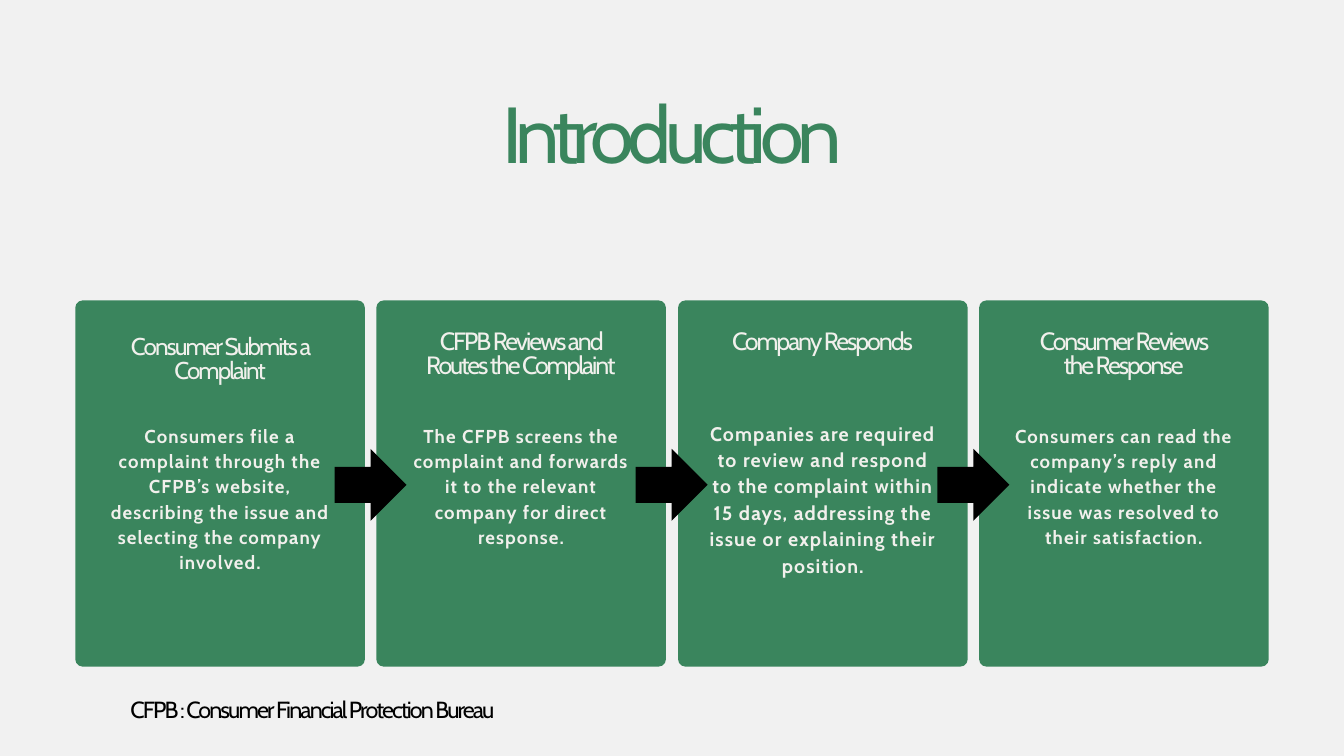
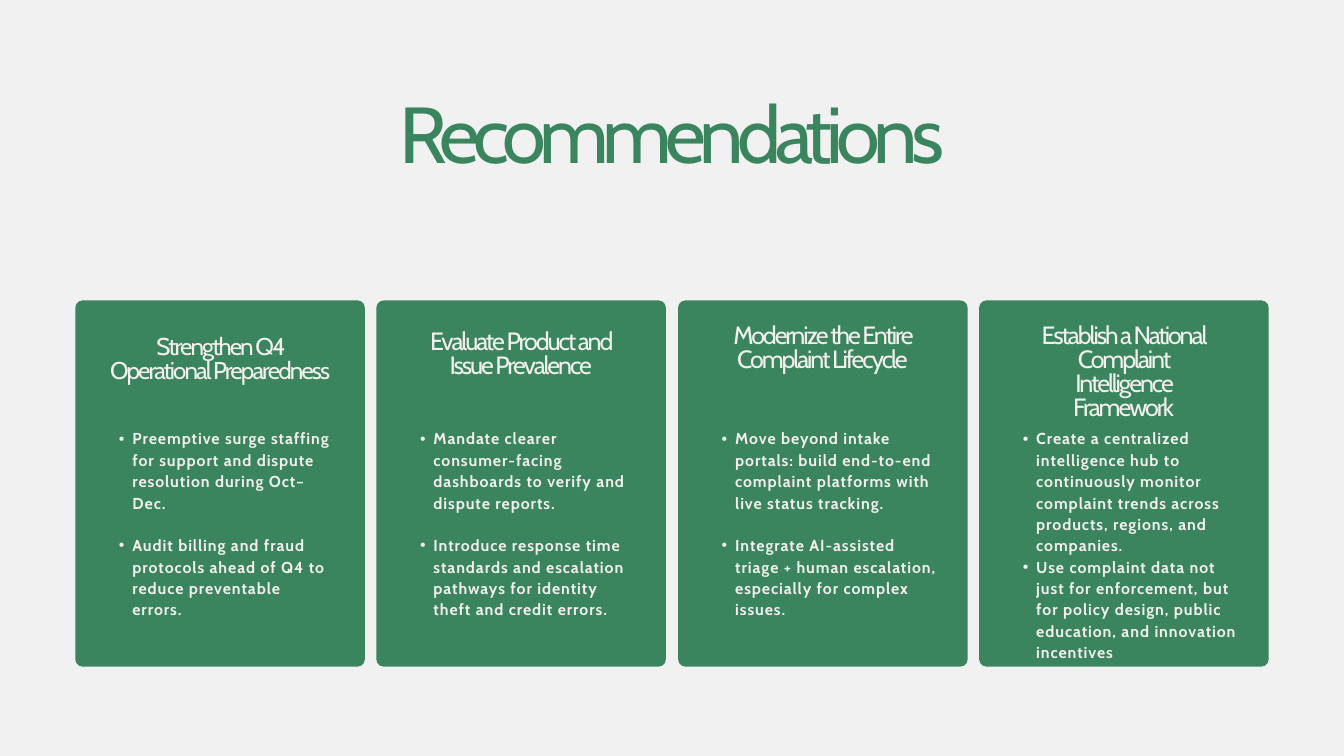
from dataclasses import dataclass
from typing import Any, NamedTuple

from lxml.etree import SubElement
from pptx import Presentation
from pptx.dml.color import RGBColor
from pptx.enum.shapes import MSO_SHAPE
from pptx.enum.text import MSO_ANCHOR, MSO_AUTO_SIZE, PP_ALIGN
from pptx.oxml.ns import qn
from pptx.util import Emu, Pt

EMU_PER_PX = 9144


class TextStyle(NamedTuple):
    size: float
    line: float
    tracking: int
    colour: RGBColor
    bold: bool = False
    bulleted: bool = False


class Box(NamedTuple):
    left: int
    top: int
    width: int
    height: int


@dataclass(frozen=True)
class Theme:
    font: str = "Cabin"
    background: RGBColor = RGBColor.from_string("F1F1F1")
    green: RGBColor = RGBColor.from_string("3A855D")
    cream: RGBColor = RGBColor.from_string("F1F0EC")
    black: RGBColor = RGBColor.from_string("000000")

    @property
    def title(self) -> TextStyle:
        return TextStyle(85, 81.6, -700, self.green)

    @property
    def first_heading(self) -> TextStyle:
        return TextStyle(26, 25, -210, self.cream)

    @property
    def heading(self) -> TextStyle:
        return TextStyle(26.8, 25.7, -220, self.cream)

    @property
    def body(self) -> TextStyle:
        return TextStyle(20, 27, 120, self.cream, bold=True)

    @property
    def large_body(self) -> TextStyle:
        return TextStyle(21, 28.3, 120, self.cream, bold=True)

    @property
    def bullets(self) -> TextStyle:
        return TextStyle(17, 22.9, 100, self.cream, bold=True, bulleted=True)

    @property
    def footnote(self) -> TextStyle:
        return TextStyle(25, 35, -200, self.black)


THEME = Theme()
SLIDE_WIDTH, SLIDE_HEIGHT = 2000, 1125
TITLE_BOX = Box(512, 153, 976, 120)
FOOTNOTE_BOX = Box(90, 1028, 750, 48)
CARD_TOP, CARD_WIDTH, CARD_HEIGHT, CARD_RADIUS = 447, 431, 545, 11
FIRST_CARD_LEFT, LAST_CARD_LEFT, CARD_COUNT = 112, 1457, 4
HEADING_WIDTH, BODY_WIDTH = 284, 341
ARROW_TOP, ARROW_SIZE = 668, 107
BULLET_MARGIN, BULLET_HANG = 40, 20


@dataclass(frozen=True)
class Card:
    heading: str
    heading_top: int
    heading_height: int
    body: tuple[str, ...]
    body_top: int
    body_height: int
    body_style: TextStyle
    heading_style: TextStyle = THEME.heading
    heading_width: int = HEADING_WIDTH
    item_gap: float = 0


@dataclass(frozen=True)
class CardSlide:
    title: str
    cards: tuple[Card, ...]
    arrows: bool = False
    footnote: str = ""


INTRODUCTION = CardSlide(
    "Introduction",
    (
        Card("Consumer Submits a Complaint", 502, 72,
             ("Consumers file a complaint through the CFPB’s website, describing "
              "the issue and selecting the company involved.",),
             628, 255, THEME.body, THEME.first_heading, BODY_WIDTH),
        Card("CFPB Reviews and Routes the Complaint", 493, 109,
             ("The CFPB screens the complaint and forwards it to the relevant "
              "company for direct response.",),
             628, 182, THEME.body),
        Card("Company Responds", 493, 74,
             ("Companies are required to review and respond to the complaint within "
              "15 days, addressing the issue or explaining their position.",),
             623, 271, THEME.large_body),
        Card("Consumer Reviews the Response", 493, 109,
             ("Consumers can read the company’s reply and indicate whether the "
              "issue was resolved to their satisfaction.",),
             628, 182, THEME.body),
    ),
    arrows=True,
    footnote="CFPB : Consumer Financial Protection Bureau",
)

RECOMMENDATIONS = CardSlide(
    "Recommendations",
    (
        Card("Strengthen Q4 Operational Preparedness", 502, 107,
             ("Preemptive surge staffing for support and dispute resolution during "
              "Oct–Dec.",
              "Audit billing and fraud protocols ahead of Q4 to reduce preventable "
              "errors."),
             635, 343, THEME.bullets, THEME.first_heading, BODY_WIDTH,
             item_gap=THEME.bullets.line),
        Card("Evaluate Product and Issue Prevalence", 493, 144,
             ("Mandate clearer consumer-facing dashboards to verify and dispute "
              "reports.",
              "Introduce response time standards and escalation pathways for "
              "identity theft and credit errors."),
             635, 343, THEME.bullets, item_gap=THEME.bullets.line),
        Card("Modernize the Entire Complaint Lifecycle", 484, 109,
             ("Move beyond intake portals: build end-to-end complaint platforms "
              "with live status tracking.",
              "Integrate AI-assisted triage + human escalation, especially for "
              "complex issues."),
             635, 343, THEME.bullets, item_gap=THEME.bullets.line),
        Card("Establish a National Complaint Intelligence Framework", 484, 144,
             ("Create a centralized intelligence hub to continuously monitor "
              "complaint trends across products, regions, and companies.",
              "Use complaint data not just for enforcement, but for policy design, "
              "public education, and innovation incentives"),
             635, 375, THEME.bullets),
    ),
)


def px(length: int) -> Emu:
    return Emu(length * EMU_PER_PX)


def apply_format(target: Any, values: dict[str, Any]) -> None:
    for name, value in values.items():
        setattr(target, name, value)


def place(box: Box) -> tuple[Emu, ...]:
    return tuple(px(length) for length in box)


def card_left(index: int) -> int:
    span = LAST_CARD_LEFT - FIRST_CARD_LEFT
    return FIRST_CARD_LEFT + round(index * span / (CARD_COUNT - 1))


def centred_left(index: int, width: int) -> int:
    return card_left(index) + (CARD_WIDTH - width) // 2


def add_bullet(paragraph: Any) -> None:
    properties = paragraph._p.get_or_add_pPr()
    properties.set("marL", str(px(BULLET_MARGIN)))
    properties.set("indent", str(px(-BULLET_HANG)))
    SubElement(properties, qn("a:buFont")).set("typeface", "Arial")
    SubElement(properties, qn("a:buChar")).set("char", "•")


def write_text(shape: Any, lines: tuple[str, ...], style: TextStyle, gap: float = 0) -> None:
    frame = shape.text_frame
    apply_format(frame, {
        "margin_left": 0, "margin_top": 0, "margin_right": 0, "margin_bottom": 0,
        "word_wrap": True, "auto_size": MSO_AUTO_SIZE.NONE,
        "vertical_anchor": MSO_ANCHOR.TOP,
    })
    for index, line in enumerate(lines):
        paragraph = frame.add_paragraph() if index else frame.paragraphs[0]
        apply_format(paragraph, {
            "alignment": PP_ALIGN.LEFT if style.bulleted else PP_ALIGN.CENTER,
            "line_spacing": Pt(style.line),
            "space_before": Pt(gap if index else 0),
        })
        if style.bulleted:
            add_bullet(paragraph)
        run = paragraph.add_run()
        run.text = line
        apply_format(run.font, {
            "name": THEME.font, "size": Pt(style.size), "bold": style.bold,
        })
        run.font.color.rgb = style.colour
        run._r.get_or_add_rPr().set("spc", str(style.tracking))


def add_text(slide: Any, box: Box, lines: tuple[str, ...], style: TextStyle,
             gap: float = 0) -> None:
    write_text(slide.shapes.add_textbox(*place(box)), lines, style, gap)


def add_filled_shape(slide: Any, kind: MSO_SHAPE, box: Box, colour: RGBColor) -> Any:
    shape = slide.shapes.add_shape(kind, *place(box))
    shape.shadow.inherit = False
    shape.fill.solid()
    shape.fill.fore_color.rgb = colour
    shape.line.fill.background()
    return shape


def add_card_panel(slide: Any, index: int) -> None:
    box = Box(card_left(index), CARD_TOP, CARD_WIDTH, CARD_HEIGHT)
    panel = add_filled_shape(slide, MSO_SHAPE.ROUNDED_RECTANGLE, box, THEME.green)
    panel.adjustments[0] = CARD_RADIUS / CARD_WIDTH


def add_arrow(slide: Any, index: int) -> None:
    left = centred_left(index, BODY_WIDTH) + BODY_WIDTH
    box = Box(left, ARROW_TOP, ARROW_SIZE, ARROW_SIZE)
    add_filled_shape(slide, MSO_SHAPE.RIGHT_ARROW, box, THEME.black)


def add_card_text(slide: Any, index: int, card: Card) -> None:
    body_box = Box(centred_left(index, BODY_WIDTH), card.body_top,
                   BODY_WIDTH, card.body_height)
    heading_box = Box(centred_left(index, card.heading_width), card.heading_top,
                      card.heading_width, card.heading_height)
    add_text(slide, body_box, card.body, card.body_style, card.item_gap)
    add_text(slide, heading_box, (card.heading,), card.heading_style)


def add_card_slide(presentation: Any, content: CardSlide) -> None:
    slide = presentation.slides.add_slide(presentation.slide_layouts.get_by_name("Title Only"))
    title = slide.shapes.title
    apply_format(title, dict(zip(Box._fields, place(TITLE_BOX))))
    write_text(title, (content.title,), THEME.title)
    for index in range(CARD_COUNT):
        add_card_panel(slide, index)
    for index, card in enumerate(content.cards):
        add_card_text(slide, index, card)
    if content.arrows:
        for index in range(CARD_COUNT - 1):
            add_arrow(slide, index)
    if content.footnote:
        add_text(slide, FOOTNOTE_BOX, (content.footnote,), THEME.footnote)


def main() -> None:
    presentation = Presentation()
    apply_format(presentation, {
        "slide_width": px(SLIDE_WIDTH), "slide_height": px(SLIDE_HEIGHT),
    })
    background = presentation.slide_master.background.fill
    background.solid()
    background.fore_color.rgb = THEME.background
    for content in (INTRODUCTION, RECOMMENDATIONS):
        add_card_slide(presentation, content)
    presentation.save("out.pptx")


if __name__ == "__main__":
    main()
